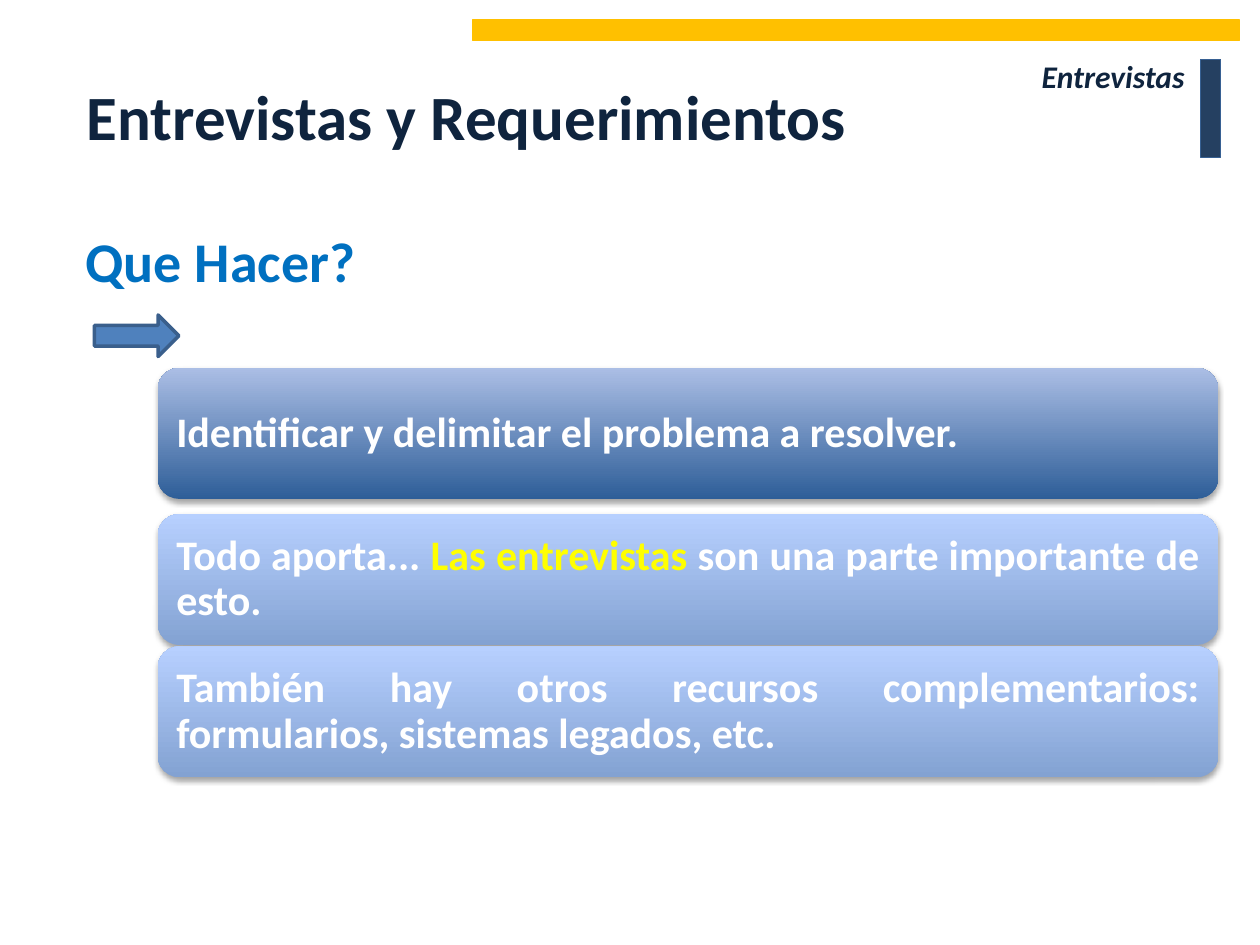
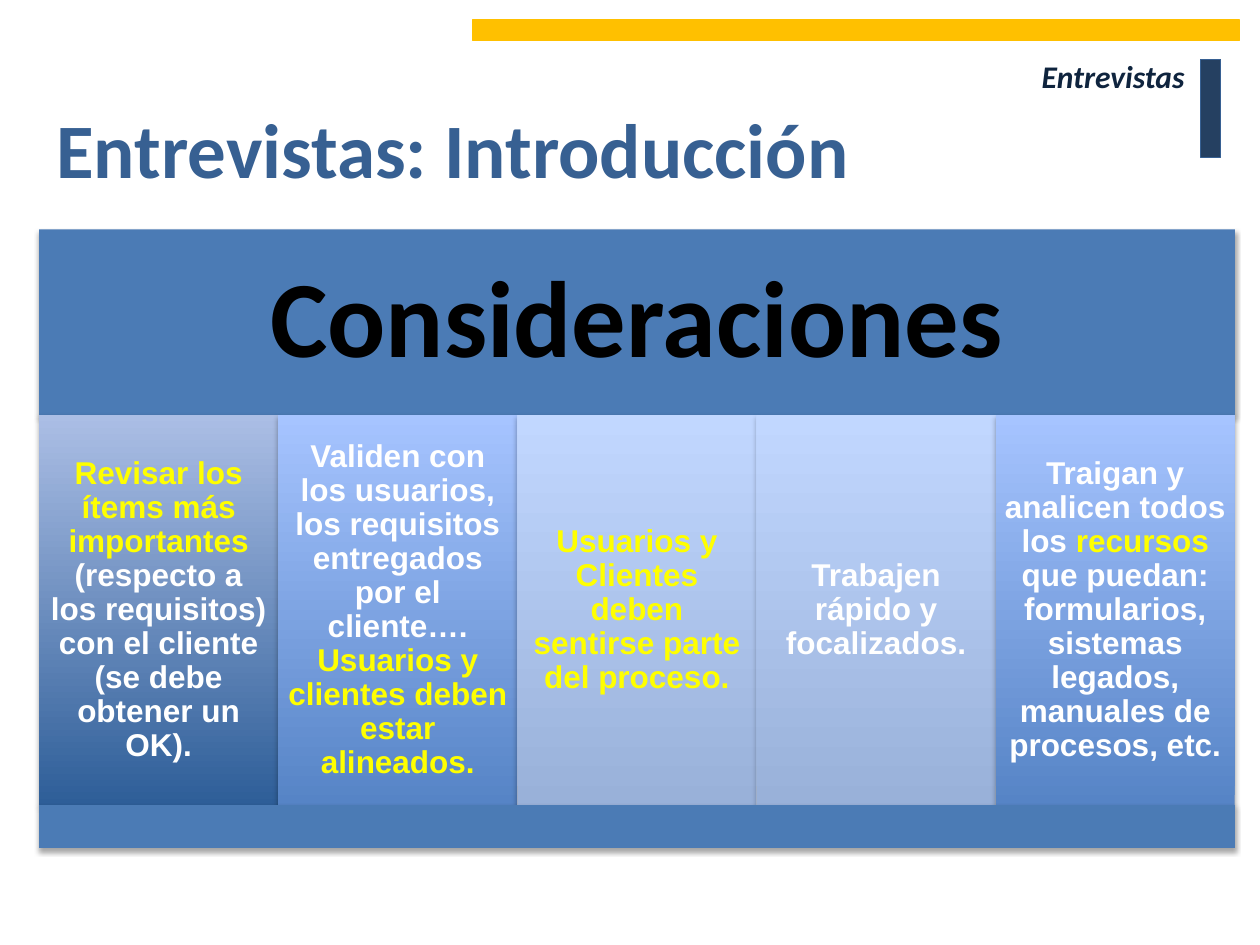
from lxml import etree
from pptx import Presentation
from pptx.dml.color import RGBColor
from pptx.enum.shapes import MSO_SHAPE
from pptx.enum.text import MSO_ANCHOR, PP_ALIGN
from pptx.oxml.ns import qn
from pptx.util import Inches, Pt

RECTANGLE = MSO_SHAPE.RECTANGLE
ROUNDED = MSO_SHAPE.ROUNDED_RECTANGLE
ARROW = MSO_SHAPE.RIGHT_ARROW
TOP, MIDDLE = MSO_ANCHOR.TOP, MSO_ANCHOR.MIDDLE
LEFT, CENTER = PP_ALIGN.LEFT, PP_ALIGN.CENTER
RIGHT, JUSTIFY = PP_ALIGN.RIGHT, PP_ALIGN.JUSTIFY

WIDTH, HEIGHT = Inches(10), Inches(7.5)
COLUMNS, ROWS = 100, 75
BLANK_LAYOUT = 6

COLORS = {
    "navy": "254061", "steel": "376092", "gold": "FFC000", "ink": "0F243E",
    "blue": "0070C0", "arrow": "4F81BD", "arrow_line": "3A5F8C",
    "band": "4B7BB5", "black": "000000", "white": "FFFFFF", "yellow": "FFFF00",
    "deep_low": "2E5E98", "deep_high": "ABBEE5",
    "soft_low": "83A2D2", "soft_high": "B7D0FF",
    "bright_low": "5684C6", "bright_high": "A6C4FF",
    "pale_low": "99B1D9", "pale_high": "C1D7FF",
}

FORMATS = {
    "section": {"name": "Calibri", "size": Pt(18), "bold": True, "italic": True},
    "title": {"name": "Calibri", "size": Pt(36), "bold": True},
    "subtitle": {"name": "Calibri", "size": Pt(32), "bold": True},
    "large_title": {"name": "Calibri", "size": Pt(44), "bold": True},
    "card": {"name": "Calibri", "size": Pt(24), "bold": True},
    "header": {"name": "Calibri", "size": Pt(62), "bold": True},
    "column": {"name": "Arial", "size": Pt(18), "bold": True},
}

CARDS = [
    (29.2, "deep", [("Identificar y delimitar el problema a resolver.", "white")]),
    (40.8, "soft", [("Todo aporta... ", "white"), ("Las entrevistas ", "yellow"),
                    ("son una parte importante de esto.", "white")]),
    (51.3, "soft", [("También hay otros recursos complementarios: "
                     "formularios, sistemas legados, etc.", "white")]),
]

CONSIDERATIONS = [
    ("deep", [("Revisar los ítems más importantes ", "yellow"),
              ("(respecto a los requisitos) con el cliente "
               "(se debe obtener un OK).", "white")]),
    ("bright", [("Validen con los usuarios, los requisitos entregados "
                 "por el cliente…. ", "white"),
                ("Usuarios y clientes deben estar alineados.", "yellow")]),
    ("pale", [("Usuarios y Clientes deben sentirse parte del proceso.", "yellow")]),
    ("pale", [("Trabajen rápido y focalizados.", "white")]),
    ("bright", [("Traigan y analicen todos los ", "white"), ("recursos", "yellow"),
                (" que puedan: formularios, sistemas legados, "
                 "manuales de procesos, etc.", "white")]),
]


def rgb(color):
    return RGBColor.from_string(COLORS[color])


def place(left, top, width, height):
    return (round(WIDTH * left / COLUMNS), round(HEIGHT * top / ROWS),
            round(WIDTH * width / COLUMNS), round(HEIGHT * height / ROWS))


def write_text(shape, runs, style, align=LEFT, anchor=MIDDLE, inset=None,
               spacing=None, wrap=True):
    frame = shape.text_frame
    frame.word_wrap = wrap
    frame.vertical_anchor = anchor
    if inset is not None:
        for side in ("left", "top", "right", "bottom"):
            setattr(frame, f"margin_{side}", Inches(inset))
    paragraph = frame.paragraphs[0]
    paragraph.alignment = align
    paragraph.line_spacing = spacing
    for text, color in runs:
        run = paragraph.add_run()
        run.text = text
        run.font.color.rgb = rgb(color)
        for attribute, value in FORMATS[style].items():
            setattr(run.font, attribute, value)


def add_text(slide, area, text, color, style, **options):
    box = slide.shapes.add_textbox(*place(*area))
    write_text(box, [(text, color)], style, **options)


def add_block(slide, kind, area, fill, line=None, line_width=0.75):
    shape = slide.shapes.add_shape(kind, *place(*area))
    shape.shadow.inherit = False
    shape.fill.solid()
    shape.fill.fore_color.rgb = rgb(fill)
    if line:
        shape.line.color.rgb = rgb(line)
        shape.line.width = Pt(line_width)
    else:
        shape.line.fill.background()
    return shape


def add_shadow(shape):
    effects = shape.element.spPr.find(qn("a:effectLst"))
    shadow = etree.SubElement(effects, qn("a:outerShdw"), blurRad=str(Pt(3.1)),
                              dist=str(Pt(1.8)), dir="5400000", rotWithShape="0")
    color = etree.SubElement(shadow, qn("a:srgbClr"), val=COLORS["black"])
    etree.SubElement(color, qn("a:alpha"), val="35000")


def add_band(slide, area):
    band = add_block(slide, RECTANGLE, area, "band")
    add_shadow(band)
    return band


def add_panel(slide, kind, area, tone, runs, style, **options):
    panel = add_block(slide, kind, area, f"{tone}_low")
    panel.fill.gradient()
    panel.fill.gradient_angle = 90
    for stop, level, position in zip(panel.fill.gradient_stops, ("low", "high"), (0, 1)):
        stop.color.rgb = rgb(f"{tone}_{level}")
        stop.position = position
    add_shadow(panel)
    write_text(panel, runs, style, spacing=0.9, **options)


def add_base_slide(presentation):
    slide = presentation.slides.add_slide(presentation.slide_layouts[BLANK_LAYOUT])
    add_block(slide, RECTANGLE, (95.3, 4.7, 1.6, 7.8), "navy", "steel")
    add_block(slide, RECTANGLE, (37.5, 1.6, 60.9, 1.6), "gold", "gold")
    add_text(slide, (80.7, 3, 14.3, 6.1), "Entrevistas", "ink", "section", align=RIGHT)
    return slide


def build_requirements(presentation):
    slide = add_base_slide(presentation)
    add_text(slide, (5.9, 2.9, 90, 12.5), "Entrevistas y Requerimientos", "ink", "title")
    add_text(slide, (5.8, 17.5, 86.7, 6.7), "Que Hacer?", "blue", "subtitle", anchor=TOP)
    for top, tone, runs in CARDS:
        add_panel(slide, ROUNDED, (12.5, top, 84.2, 10.4), tone, runs, "card",
                  align=JUSTIFY, inset=0.1)
    add_block(slide, ARROW, (7.5, 25, 6.7, 3.3), "arrow", "arrow_line", 2)


def build_considerations(presentation):
    slide = add_base_slide(presentation)
    add_text(slide, (3.5, 7.6, 66, 8.4), "Entrevistas: Introducción", "steel",
             "large_title", anchor=TOP, wrap=False)
    left, width = 3.1, 94.9
    header_top, columns_top, footer_top = 18.2, 32.95, 63.9
    header = add_band(slide, (left, header_top, width, columns_top - header_top))
    write_text(header, [("Consideraciones", "black")], "header", align=CENTER,
               inset=0.26, spacing=0.9)
    column_width = width / len(CONSIDERATIONS)
    for index, (tone, runs) in enumerate(CONSIDERATIONS):
        area = (left + index * column_width, columns_top,
                column_width, footer_top - columns_top)
        add_panel(slide, RECTANGLE, area, tone, runs, "column",
                  align=CENTER, inset=0.07)
    add_band(slide, (left, footer_top, width, 3.4))


def main():
    presentation = Presentation()
    presentation.slide_width = WIDTH
    presentation.slide_height = HEIGHT
    build_requirements(presentation)
    build_considerations(presentation)
    presentation.save("out.pptx")


if __name__ == "__main__":
    main()
